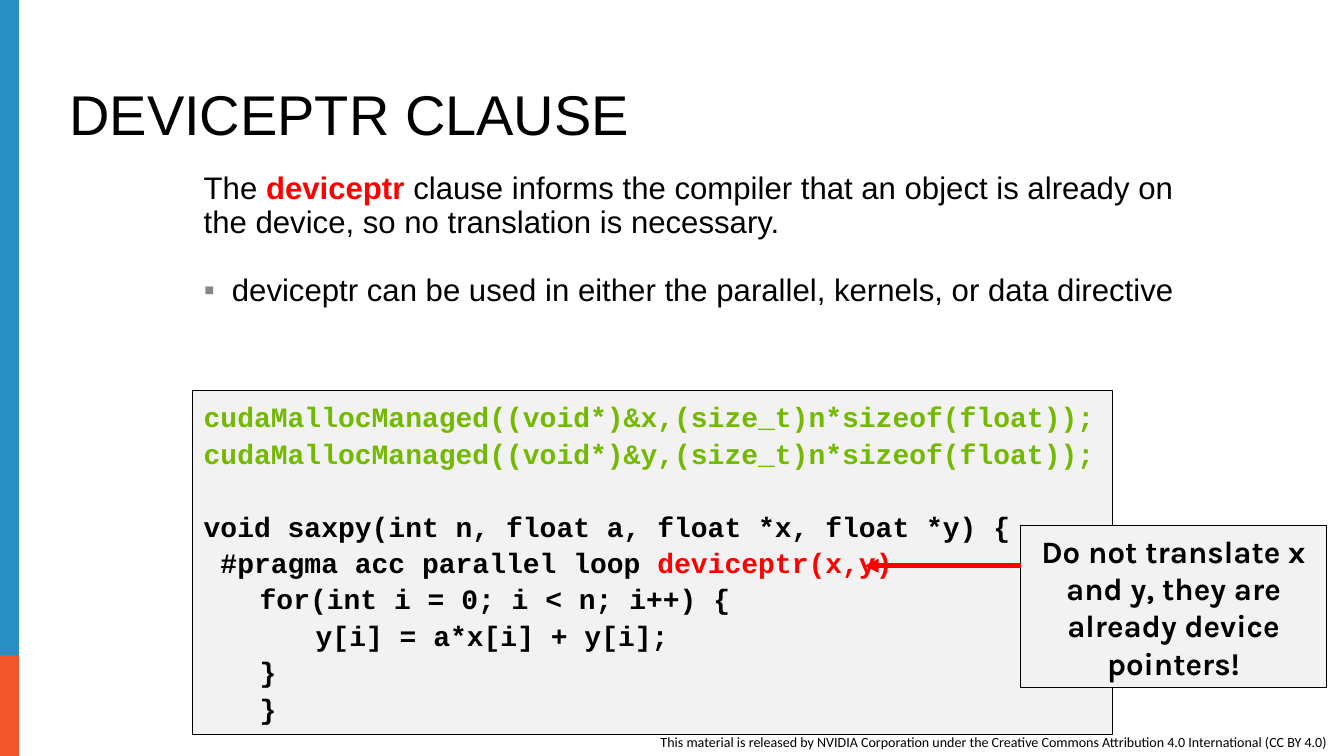
from dataclasses import dataclass
from typing import NamedTuple

from lxml.etree import SubElement as Sub
from pptx import Presentation
from pptx.dml.color import RGBColor as RGB
from pptx.enum.shapes import MSO_CONNECTOR as LINK, MSO_SHAPE as SHAPE
from pptx.enum.text import MSO_ANCHOR as ANCHOR, MSO_AUTO_SIZE as FIT, PP_ALIGN as ALIGN
from pptx.oxml.ns import qn
from pptx.util import Cm, Pt


@dataclass(frozen=True)
class Theme:
    ink: str = "000000"
    panel: str = "F2F2F2"
    blue: str = "298EC2"
    orange: str = "F1562D"
    green: str = "73B900"
    red: str = "FF0000"
    mark: str = "868686"
    sans: str = "Arial"
    mono: str = "Courier New"
    note: str = "Karla"
    small: str = "Calibri"
    head: int = 36
    text: int = 20
    code: int = 18
    foot: int = 9


class Box(NamedTuple):
    """Left, top, width and height in centimetres."""
    x: float
    y: float
    w: float
    h: float


class Line(NamedTuple):
    """A line of code: text, colour, indent in cm, red ending, space before."""
    text: str
    color: str
    dent: float = 0
    tail: str = ""
    gap: float = 1.8


T = Theme()
WIDE = 30.48
STEP = 1.27
LEFT = 4.37

CODE = [
    Line("cudaMallocManaged((void*)&x,(size_t)n*sizeof(float));", T.green, gap=0),
    Line("cudaMallocManaged((void*)&y,(size_t)n*sizeof(float));", T.green),
    Line("void saxpy(int n, float a, float *x, float *y) {", T.ink, gap=25.2),
    Line(" #pragma acc parallel loop ", T.ink, tail="deviceptr(x,y)"),
    Line("for(int i = 0; i < n; i++) {", T.ink, STEP),
    Line("y[i] = a*x[i] + y[i];", T.ink, 2 * STEP),
    Line("}", T.ink, STEP),
    Line("}", T.ink, STEP),
]


def style(para, face: str, size: int, color: str = T.ink, bold: bool = False) -> None:
    font = para.font
    font.name, font.size, font.bold = face, Pt(size), bold
    font.color.rgb = RGB.from_string(color)


def stress(run) -> None:
    run.font.bold = True
    run.font.color.rgb = RGB.from_string(T.red)


def place(shape, box: Box) -> None:
    shape.left, shape.top, shape.width, shape.height = map(Cm, box)


def frame(shape, anchor=ANCHOR.TOP):
    """Prepare the text frame of a shape and return it."""
    area = shape.text_frame
    area.word_wrap = True
    area.auto_size = FIT.NONE
    area.vertical_anchor = anchor
    return area


def rect(slide, box: Box, fill: str, edge: float = 0):
    shape = slide.shapes.add_shape(SHAPE.RECTANGLE, *map(Cm, box))
    shape.shadow.inherit = False
    shape.fill.solid()
    shape.fill.fore_color.rgb = RGB.from_string(fill)
    if edge:
        shape.line.color.rgb = RGB.from_string(T.ink)
        shape.line.width = Pt(edge)
    else:
        shape.line.fill.background()
    return shape


def label(slide, box: Box, anchor=ANCHOR.TOP):
    """Add a text box and return its first paragraph."""
    return frame(slide.shapes.add_textbox(*map(Cm, box)), anchor).paragraphs[0]


def bullet(para) -> None:
    props = para._p.get_or_add_pPr()
    props.set("marL", str(Cm(STEP / 2)))
    props.set("indent", str(-Cm(STEP / 2)))
    Sub(Sub(props, qn("a:buClr")), qn("a:srgbClr"), val=T.mark)
    Sub(props, qn("a:buFont"), typeface=T.sans)
    Sub(props, qn("a:buChar"), char="▪")


def listing(slide, box: Box, lines: list[Line]) -> None:
    area = frame(rect(slide, box, T.panel, 0.5))
    area.margin_top = Cm(0.21)
    for i, line in enumerate(lines):
        para = area.paragraphs[0] if i == 0 else area.add_paragraph()
        para.alignment = ALIGN.LEFT
        para.space_before = Pt(line.gap)
        props = para._p.get_or_add_pPr()
        props.set("marL", str(Cm(line.dent)))
        props.set("indent", "0")
        style(para, T.mono, T.code, line.color, True)
        para.add_run().text = line.text
        if line.tail:
            run = para.add_run()
            run.text = line.tail
            stress(run)


def arrow(slide, x1: float, x2: float, y: float) -> None:
    link = slide.shapes.add_connector(LINK.STRAIGHT, Cm(x1), Cm(y), Cm(x2), Cm(y))
    link.line.color.rgb = RGB.from_string(T.red)
    link.line.width = Pt(3)
    Sub(link.line._get_or_add_ln(), qn("a:tailEnd"), type="triangle")
    Sub(link._element.spPr, qn("a:effectLst"))


def main() -> None:
    deck = Presentation()
    deck.slide_width, deck.slide_height = Cm(WIDE), Cm(WIDE * 9 / 16)
    slide = deck.slides.add_slide(deck.slide_layouts[1])

    # Side bars
    rect(slide, Box(-0.08, 12.88, 0.51, 4.27), T.orange)
    rect(slide, Box(-0.08, 0, 0.51, 14.86), T.blue)

    # Licence line
    para = label(slide, Box(14.73, 16.51, 17.17, 0.64))
    para.text = "This material is released by NVIDIA Corporation under the Creative Commons Attribution 4.0 International (CC BY 4.0)"
    style(para, T.small, T.foot)

    # Title
    title = slide.shapes.title
    place(title, Box(1.32, 1.83, 27.71, 1.65))
    para = frame(title, ANCHOR.BOTTOM).paragraphs[0]
    para.text = "DEVICEPTR CLAUSE"
    para.alignment = ALIGN.LEFT
    para.line_spacing = 0.9
    style(para, T.sans, T.head)

    # Introduction
    para = label(slide, Box(LEFT, 3.78, 23.47, 1.8), ANCHOR.MIDDLE)
    para.line_spacing = 0.9
    style(para, T.sans, T.text)
    para.add_run().text = "The "
    word = para.add_run()
    word.text = "deviceptr"
    stress(word)
    para.add_run().text = " clause informs the compiler that an object is already on the device, so no translation is necessary."

    # Bullet
    body = slide.placeholders[1]
    place(body, Box(LEFT, 6.1, 27.71, 0.91))
    para = frame(body).paragraphs[0]
    para.text = "deviceptr can be used in either the parallel, kernels, or data directive"
    bullet(para)
    para.line_spacing = 0.9
    para.space_before = Pt(0)
    style(para, T.sans, T.text)

    # Code
    listing(slide, Box(LEFT, 8.86, 20.85, 7.8), CODE)

    # Callout and its arrow
    note = Box(23.15, 11.92, 6.93, 3.68)
    para = frame(rect(slide, note, T.panel, 0.75), ANCHOR.MIDDLE).paragraphs[0]
    para.text = "Do not translate x and y, they are already device pointers!"
    para.alignment = ALIGN.CENTER
    style(para, T.note, T.text, bold=True)
    arrow(slide, note.x, 19.61, 12.83)

    deck.save("out.pptx")


if __name__ == "__main__":
    main()
